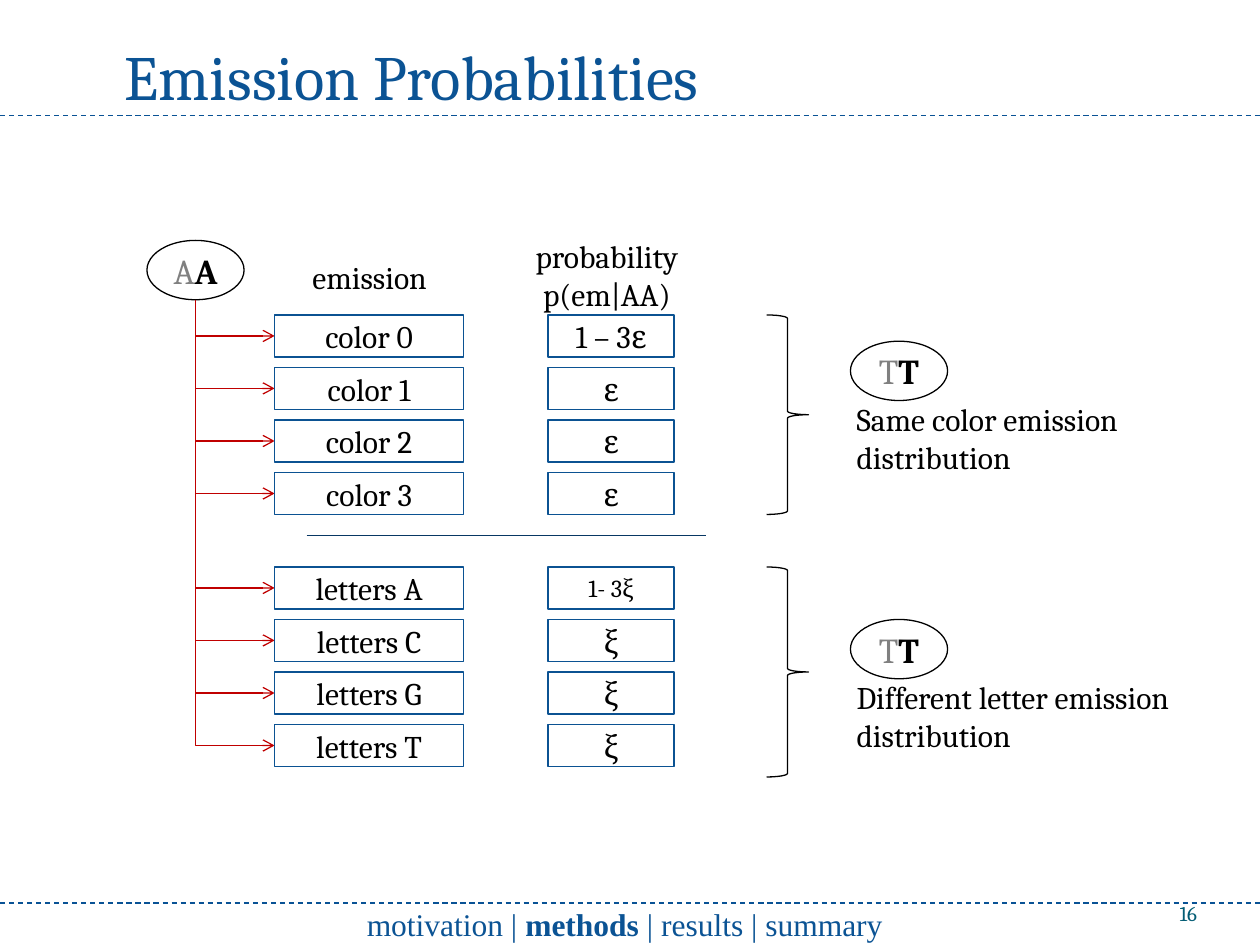
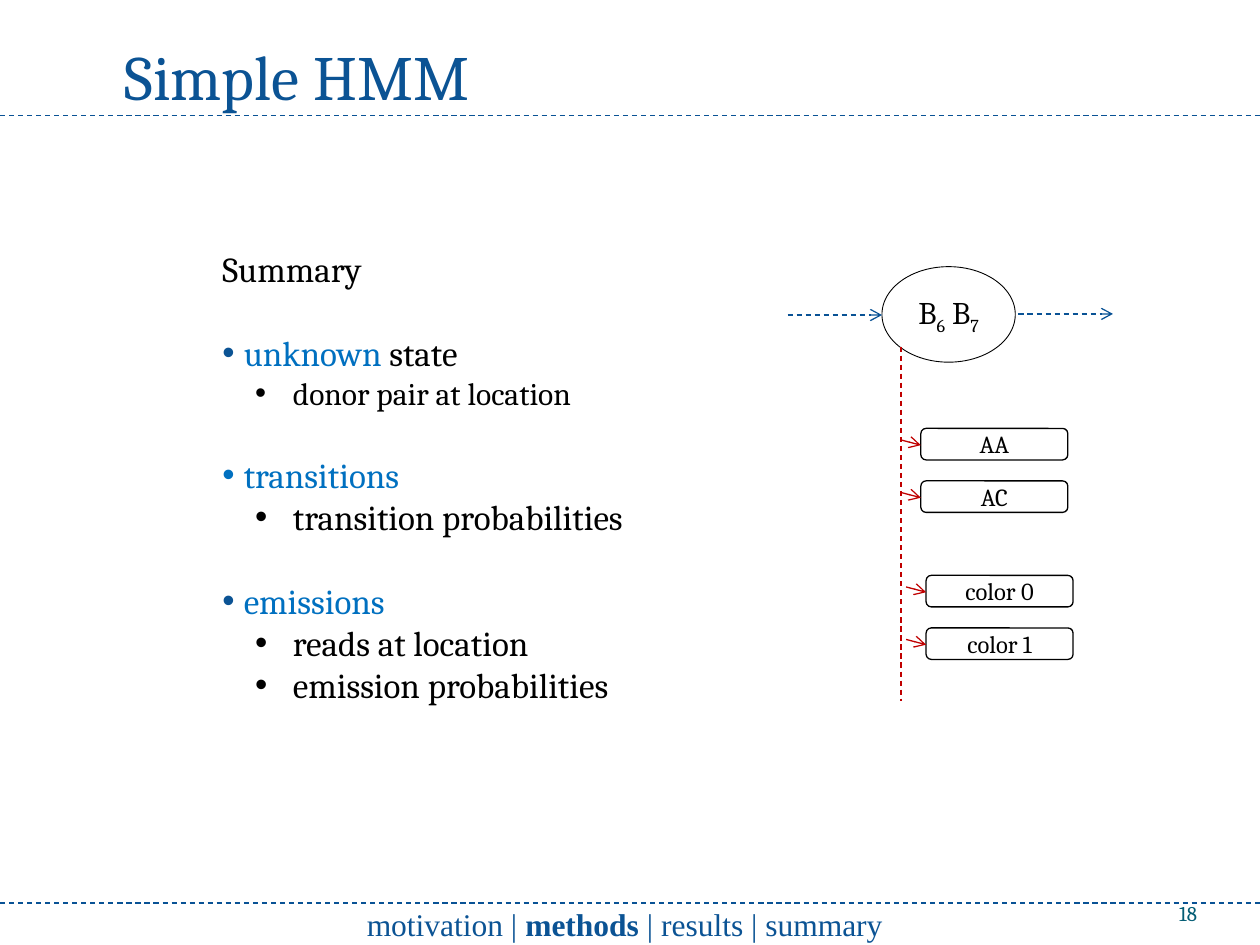
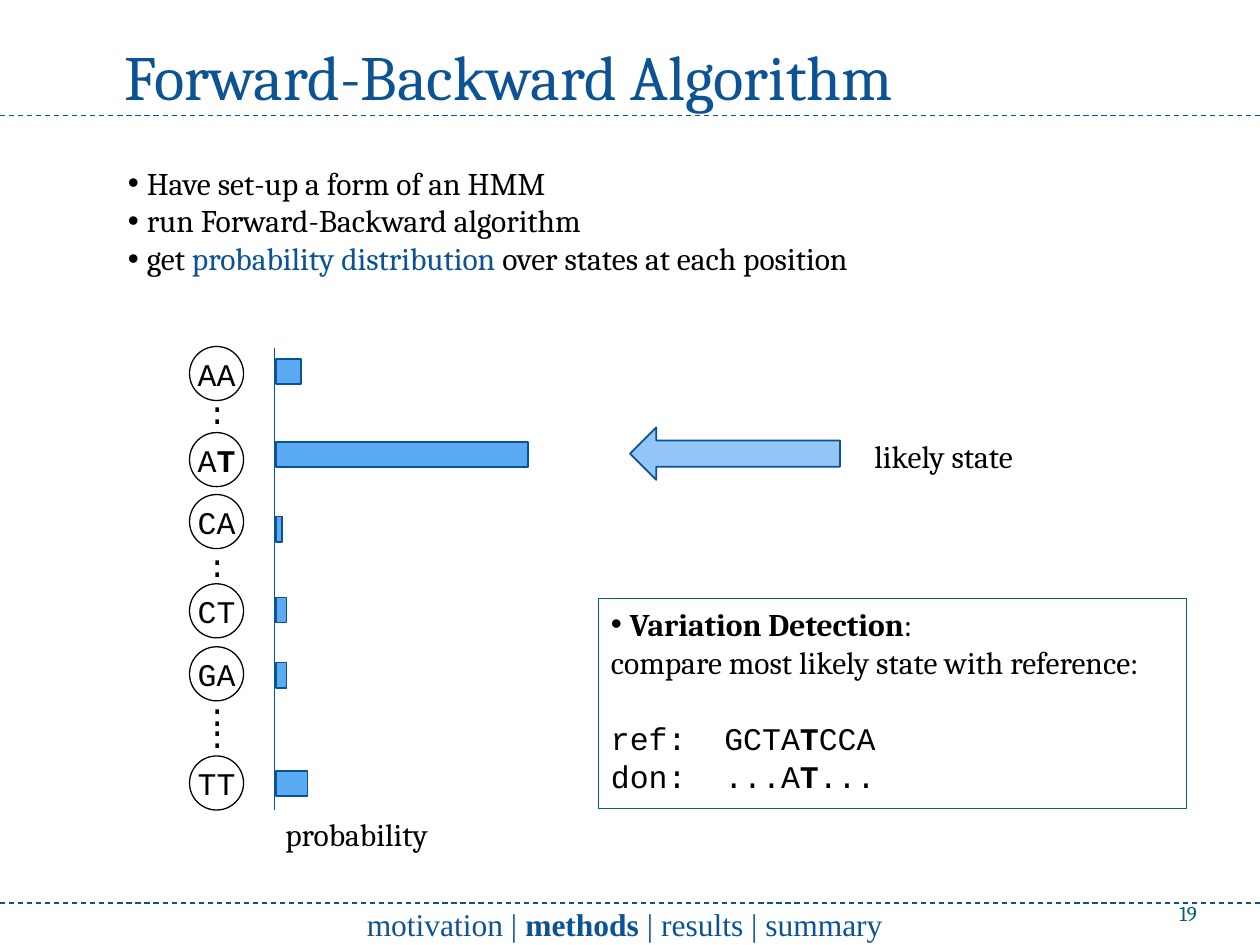
from dataclasses import dataclass

from lxml import etree
from pptx import Presentation
from pptx.dml.color import RGBColor
from pptx.enum.dml import MSO_LINE
from pptx.enum.shapes import MSO_CONNECTOR, MSO_SHAPE
from pptx.enum.text import MSO_ANCHOR, PP_ALIGN
from pptx.oxml.ns import qn
from pptx.util import Inches, Pt

LEFT, CENTER, RIGHT = PP_ALIGN.LEFT, PP_ALIGN.CENTER, PP_ALIGN.RIGHT
TOP, MIDDLE, BOTTOM = MSO_ANCHOR.TOP, MSO_ANCHOR.MIDDLE, MSO_ANCHOR.BOTTOM
OVAL, STATE = MSO_SHAPE.OVAL, MSO_SHAPE.FLOWCHART_CONNECTOR
RECTANGLE, ROUNDED = MSO_SHAPE.RECTANGLE, MSO_SHAPE.ROUNDED_RECTANGLE
BRACE, LEFT_ARROW = MSO_SHAPE.RIGHT_BRACE, MSO_SHAPE.LEFT_ARROW
STRAIGHT, ELBOW = MSO_CONNECTOR.STRAIGHT, MSO_CONNECTOR.ELBOW
DASH = MSO_LINE.DASH

COLUMNS, ROWS = 120, 90
WIDTH, HEIGHT = Inches(10), Inches(7.5)


@dataclass(frozen=True)
class Theme:
    ink: str = "000000"
    paper: str = "FFFFFF"
    muted: str = "808080"
    title: str = "0B5394"
    accent: str = "0070C0"
    border: str = "0B5292"
    rule: str = "095295"
    divider: str = "083763"
    arrow: str = "C00000"
    bar: str = "59AAF2"
    pointer: str = "91C6F7"
    panel: str = "04617B"
    number: str = "045D75"
    serif: str = "Cambria"
    mono: str = "Courier New"
    footer: str = "Times New Roman"
    title_size: int = 36
    large: int = 20
    body: int = 18
    label: int = 14
    small: int = 12


THEME = Theme()


@dataclass
class Run:
    text: str
    color: str = None
    bold: bool = None
    baseline: int = None


@dataclass
class Para:
    runs: list
    size: int = THEME.body
    font: str = THEME.serif
    color: str = THEME.ink
    align: PP_ALIGN = LEFT
    bullet: str = None      # bullet colour
    margin: float = 0       # text indent in inches
    hang: float = 0         # distance from bullet to text in inches
    before: float = 0
    tab: float = None       # tab stop in inches


def centered(*runs, **style):
    return Para(list(runs), align=CENTER, **style)


def bulleted(*runs, color=THEME.ink, margin=0.15, hang=0.15, **style):
    return Para(list(runs), bullet=color, margin=margin, hang=hang, **style)


class Deck:
    def __init__(self, theme):
        self.theme = theme
        self.presentation = Presentation()
        self.presentation.slide_width = WIDTH
        self.presentation.slide_height = HEIGHT
        self.slide = None

    @staticmethod
    def x(columns):
        return round(WIDTH * columns / COLUMNS)

    @staticmethod
    def y(rows):
        return round(HEIGHT * rows / ROWS)

    def place(self, box):
        left, top, width, height = box
        return self.x(left), self.y(top), self.x(width), self.y(height)

    def start(self, title, number):
        """Add a slide with its title, rules, footer and number."""
        theme = self.theme
        self.slide = self.presentation.slides.add_slide(
            self.presentation.slide_layouts[6])
        self.text((10.7, 3, 100, 8.5),
                  [Para([title], theme.title_size, color=theme.title)])
        for row in (11, 86):
            self.line((0, row), (COLUMNS, row), theme.rule, dashed=True)
        self.text((29, 86, 61, 4),
                  [centered("motivation | ", Run("methods", bold=True),
                            " | results | summary",
                            font=theme.footer, color=theme.title)], MIDDLE)
        self.text((104, 83.4, 10, 4.8),
                  [Para([str(number)], theme.small, color=theme.number,
                        align=RIGHT)], BOTTOM, inset=0)

    def fill_frame(self, frame, paragraphs, anchor, inset, wrap=True):
        frame.word_wrap = wrap
        frame.vertical_anchor = anchor
        frame.margin_left = frame.margin_right = Inches(inset)
        frame.margin_top = frame.margin_bottom = Inches(inset / 2)
        for index, para in enumerate(paragraphs):
            paragraph = frame.add_paragraph() if index else frame.paragraphs[0]
            self.style_paragraph(paragraph, para)
            for item in para.runs:
                self.add_run(paragraph, item)

    @staticmethod
    def style_paragraph(paragraph, para):
        paragraph.alignment = para.align
        if para.before:
            paragraph.space_before = Pt(para.before)
        properties = paragraph._p.get_or_add_pPr()
        if para.bullet:
            properties.set("marL", str(Inches(para.margin)))
            properties.set("indent", str(-Inches(para.hang)))
            color = etree.SubElement(properties, qn("a:buClr"))
            etree.SubElement(color, qn("a:srgbClr"), val=para.bullet)
            etree.SubElement(properties, qn("a:buFont"), typeface="Arial")
            etree.SubElement(properties, qn("a:buChar"), char="•")
        if para.tab:
            tabs = etree.SubElement(properties, qn("a:tabLst"))
            etree.SubElement(tabs, qn("a:tab"), pos=str(Inches(para.tab)), algn="l")
        font = paragraph.font
        font.size, font.name = Pt(para.size), para.font
        font.color.rgb = RGBColor.from_string(para.color)

    @staticmethod
    def add_run(paragraph, item):
        item = Run(item) if isinstance(item, str) else item
        run = paragraph.add_run()
        run.text = item.text
        if item.bold:
            run.font.bold = True
        if item.color:
            run.font.color.rgb = RGBColor.from_string(item.color)
        if item.baseline:
            run._r.get_or_add_rPr().set("baseline", str(item.baseline * 1000))

    def text(self, box, paragraphs, anchor=TOP, inset=0.1):
        shape = self.slide.shapes.add_textbox(*self.place(box))
        self.fill_frame(shape.text_frame, paragraphs, anchor, inset)

    def shape(self, kind, box, paragraphs=(), fill=None, line=THEME.ink,
              width=0.75, anchor=MIDDLE, inset=0, wrap=True):
        shape = self.slide.shapes.add_shape(kind, *self.place(box))
        shape.shadow.inherit = False
        if fill:
            shape.fill.solid()
            shape.fill.fore_color.rgb = RGBColor.from_string(fill)
        else:
            shape.fill.background()
        shape.line.color.rgb = RGBColor.from_string(line)
        shape.line.width = Pt(width)
        self.fill_frame(shape.text_frame, paragraphs, anchor, inset, wrap)

    def state(self, box, *runs, **style):
        self.shape(STATE, box, [centered(*runs, **style)], wrap=False)

    def pair(self, left, top, letter):
        """Oval with a grey previous letter and a bold current one."""
        self.state((left, top, 9.25, 5.65), Run(letter, color=self.theme.muted),
                   Run(letter, bold=True), size=self.theme.large)

    def cell(self, box, label, size=THEME.body):
        self.shape(RECTANGLE, box, [centered(label, size=size)],
                   self.theme.paper, self.theme.border, 1)

    def line(self, start, end, color, dashed=False, arrow=False, kind=STRAIGHT):
        connector = self.slide.shapes.add_connector(
            kind, self.x(start[0]), self.y(start[1]),
            self.x(end[0]), self.y(end[1]))
        connector.line.color.rgb = RGBColor.from_string(color)
        connector.line.width = Pt(0.75)
        if dashed:
            connector.line.dash_style = DASH
        properties = connector._element.spPr
        if arrow:
            etree.SubElement(properties.find(qn("a:ln")), qn("a:tailEnd"),
                             type="arrow")
        etree.SubElement(properties, qn("a:effectLst"))
        return connector

    def elbow(self, start, end, color):
        """Arrow going down and then right: a turned and mirrored corner."""
        across, down = end[0] - start[0], end[1] - start[1]
        left = (start[0] + end[0] - down) / 2
        top = (start[1] + end[1] - across) / 2
        connector = self.line((left, top), (left + down, top + across), color,
                              arrow=True, kind=ELBOW)
        properties = connector._element.spPr
        properties.find(qn("a:prstGeom")).set("prst", "bentConnector2")
        frame = properties.find(qn("a:xfrm"))
        frame.set("rot", str(270 * 60000))
        frame.set("flipH", "1")


def emission_slide(deck):
    theme = deck.theme
    deck.start("Emission Probabilities", 16)
    deck.pair(14, 22.9, "A")
    deck.text((28.2, 24, 14, 4.8), [centered("emission")])
    deck.text((49.4, 22, 16.8, 8.5),
              [centered("probability"), centered("p(em|AA)")])

    # Emissions with their probabilities
    groups = (
        (30, [("color 0", "1 – 3ε", theme.body)]
         + [(f"color {index}", "ε", theme.body) for index in (1, 2, 3)]),
        (54, [("letters A", "1- 3ξ", theme.label)]
         + [(f"letters {letter}", "ξ", theme.body) for letter in "CGT"]),
    )
    for first_row, emissions in groups:
        for index, (emission, probability, size) in enumerate(emissions):
            row = first_row + 5 * index
            deck.elbow((18.6, 28.56), (26.16, row + 2), theme.arrow)
            deck.cell((26.16, row, 18, 4), emission)
            deck.cell((52.2, row, 12, 4), probability, size)
    deck.line((29.2, 51), (67.2, 51), theme.divider)

    # Comparison with another state
    for top, height, caption_row, caption in (
            (30, 19, 37.5, "Same color emission"),
            (54, 20, 64, "Different letter emission")):
        deck.shape(BRACE, (73, top, 4, height))
        deck.pair(81, caption_row - 5, "T")
        deck.text((80.4, caption_row, 35, 8.5),
                  [Para([caption]), Para(["distribution"])])


def model_slide(deck):
    theme = deck.theme
    deck.start("Simple HMM", 18)

    # Summary list
    def topic(*runs, color=theme.title):
        return bulleted(*runs, color=color, margin=0.17, hang=0.17,
                        size=theme.large, before=24)

    def detail(label, size=theme.large):
        return bulleted(label, margin=0.56, hang=0.3, size=size)

    def key(label):
        return Run(label, color=theme.accent)

    deck.text((20, 23, 54, 45), [
        Para(["Summary"], theme.large),
        topic(key("unknown"), " state"),
        detail("donor pair at location", theme.body),
        topic(key("transitions"), color=theme.accent),
        detail("transition probabilities"),
        topic(key("emissions")),
        detail("reads at location"),
        detail("emission probabilities"),
    ])

    # State with its transitions
    deck.shape(OVAL, (84, 25.4, 12.7, 9.1),
               [centered("B", Run("6", baseline=-25), " B",
                         Run("7", baseline=-25))], width=0.5)
    for start, row in ((75, 30), (97, 29.9)):
        deck.line((start, row), (start + 9, row), theme.rule, True, True)

    # Emissions along the trunk
    deck.line((85.8, 33), (85.8, 66.8), theme.arrow, dashed=True)
    for left, top, label in ((87.7, 40.8, "AA"), (87.7, 45.8, "AC"),
                             (88.2, 54.8, "color 0"), (88.2, 59.8, "color 1")):
        deck.shape(ROUNDED, (left, top, 14, 3),
                   [centered(label, size=theme.label)], theme.paper)
        deck.line((left - 1.9, top + 1.1), (left, top + 1.6), theme.arrow,
                  arrow=True)


def algorithm_slide(deck):
    theme = deck.theme
    deck.start("Forward-Backward Algorithm", 19)
    deck.text((11, 15, 75, 12), [
        bulleted("Have set-up a form of an HMM"),
        bulleted("run Forward-Backward algorithm"),
        bulleted("get ", Run("probability distribution ", color=theme.title),
                 "over states at each position"),
    ])

    # States and their probability bars
    for runs, state_row, bar_row, length in (
            (["AA"], 33, 34.2, 2.4),
            (["A", Run("T", bold=True)], 41.2, 42.1, 24),
            (["CA"], 47.1, 49.2, 0.6),
            (["CT"], 55.6, 56.9, 1),
            (["GA"], 61.6, 63.1, 1),
            (["TT"], 72, 73.4, 3)):
        deck.state((18.05, state_row, 5.15, 5.15), *runs, font=theme.mono)
        deck.shape(RECTANGLE, (26.28, bar_row, length, 2.4),
                   fill=theme.bar, line=theme.border, width=1)
    for row in (37.4, 52, 66.2, 68.3):
        deck.text((18.1, row, 5.2, 3.6), [centered(":", font=theme.mono)], inset=0)
    deck.line((26.16, 33.1), (26.16, 77.1), theme.rule)
    deck.text((26, 77, 17, 4.8), [Para(["probability"])])

    # Most likely state
    deck.shape(LEFT_ARROW, (60, 40.7, 20, 5),
               fill=theme.pointer, line=theme.border, width=1)
    deck.text((82.1, 41, 17, 4.8), [Para(["likely state"])])

    # Variation detection panel
    variant = Run("T", bold=True)
    deck.shape(RECTANGLE, (57, 57, 56, 20), [
        bulleted(Run("Variation Detection", bold=True), ":"),
        Para(["compare most likely state with reference:"]),
        Para(["ref:\tGCTA", variant, "CCA"], font=theme.mono, tab=0.9, before=22),
        Para(["don:\t...A", variant, "..."], font=theme.mono, tab=0.9),
    ], line=theme.panel, anchor=TOP, inset=0.1)


def main():
    deck = Deck(THEME)
    emission_slide(deck)
    model_slide(deck)
    algorithm_slide(deck)
    deck.presentation.save("out.pptx")


if __name__ == "__main__":
    main()
